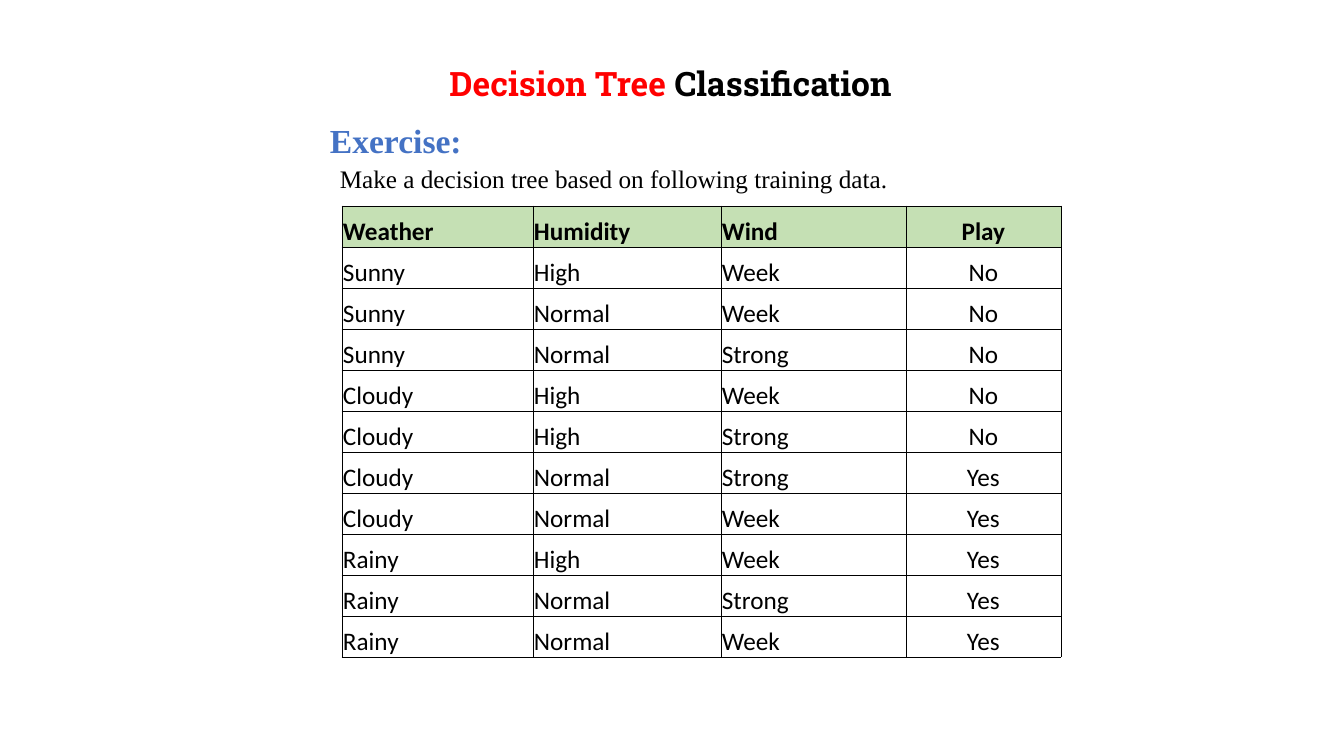
from dataclasses import dataclass

from lxml import etree
from pptx import Presentation
from pptx import util as u
from pptx.dml.color import RGBColor
from pptx.enum import text
from pptx.oxml import ns

PX_PER_INCH = 100.8
BLACK = "000000"
RED = "FF0000"
BLUE = "4472C4"
HEADER_GREEN = "C5E0B4"
COLUMN_WIDTHS = (191, 188, 185, 155)
ROW_HEIGHT = 41
TRAINING_DATA = (
    ("Weather", "Humidity", "Wind", "Play"),
    ("Sunny", "High", "Week", "No"),
    ("Sunny", "Normal", "Week", "No"),
    ("Sunny", "Normal", "Strong", "No"),
    ("Cloudy", "High", "Week", "No"),
    ("Cloudy", "High", "Strong", "No"),
    ("Cloudy", "Normal", "Strong", "Yes"),
    ("Cloudy", "Normal", "Week", "Yes"),
    ("Rainy", "High", "Week", "Yes"),
    ("Rainy", "Normal", "Strong", "Yes"),
    ("Rainy", "Normal", "Week", "Yes"),
)


@dataclass(frozen=True)
class Label:
    box: tuple[int, int, int, int]
    runs: tuple[tuple[str, str], ...]
    font: str
    size: int
    bold: bool
    spacing: float
    alignment: text.PP_ALIGN = text.PP_ALIGN.LEFT


LABELS = (
    Label((342, 52, 657, 53), (("Decision Tree ", RED), ("Classification", BLACK)),
          "Roboto Slab", 24, True, 1.15, text.PP_ALIGN.CENTER),
    Label((320, 113, 168, 50), (("Exercise:", BLUE),),
          "Times New Roman", 24, True, 1.06),
    Label((330, 157, 574, 42),
          (("Make a decision tree based on following training data.", BLACK),),
          "Times New Roman", 18, False, 1.06),
)


def px(length: int) -> u.Emu:
    return u.Emu(round(length * 914400 / PX_PER_INCH))


def color(value: str) -> RGBColor:
    return RGBColor.from_string(value)


def style_font(paragraph, name: str, size: int, bold: bool) -> None:
    paragraph.font.name = name
    paragraph.font.size = u.Pt(size)
    paragraph.font.bold = bold


def draw_label(slide, label: Label) -> None:
    frame = slide.shapes.add_textbox(*map(px, label.box)).text_frame
    frame.word_wrap = True
    frame.auto_size = text.MSO_AUTO_SIZE.SHAPE_TO_FIT_TEXT
    paragraph = frame.paragraphs[0]
    paragraph.alignment = label.alignment
    paragraph.line_spacing = label.spacing
    style_font(paragraph, label.font, label.size, label.bold)
    for words, run_color in label.runs:
        run = paragraph.add_run()
        run.text = words
        run.font.color.rgb = color(run_color)


def draw_borders(cell) -> None:
    properties = cell._tc.get_or_add_tcPr()
    for side in ("a:lnL", "a:lnR", "a:lnT", "a:lnB"):
        line = etree.SubElement(properties, ns.qn(side), w=str(u.Pt(0.5)))
        fill = etree.SubElement(line, ns.qn("a:solidFill"))
        etree.SubElement(fill, ns.qn("a:srgbClr"), val=BLACK)


def draw_cell(cell, words: str, header: bool, centered: bool) -> None:
    cell.text = words
    cell.vertical_anchor = text.MSO_ANCHOR.BOTTOM
    cell.margin_left = cell.margin_right = cell.margin_top = px(1)
    cell.margin_bottom = 0
    draw_borders(cell)
    if header:
        cell.fill.solid()
        cell.fill.fore_color.rgb = color(HEADER_GREEN)
    else:
        cell.fill.background()
    paragraph = cell.text_frame.paragraphs[0]
    paragraph.alignment = text.PP_ALIGN.CENTER if centered else text.PP_ALIGN.LEFT
    style_font(paragraph, "Calibri", 18, header)
    paragraph.font.color.rgb = color(BLACK)


def draw_training_table(slide) -> None:
    row_count, column_count = len(TRAINING_DATA), len(COLUMN_WIDTHS)
    table = slide.shapes.add_table(
        row_count, column_count, px(342), px(206),
        px(sum(COLUMN_WIDTHS)), px(ROW_HEIGHT * row_count)).table
    table.horz_banding = False
    table.first_row = False
    for column, width in zip(table.columns, COLUMN_WIDTHS):
        column.width = px(width)
    for row_index, values in enumerate(TRAINING_DATA):
        table.rows[row_index].height = px(ROW_HEIGHT)
        for column_index, words in enumerate(values):
            draw_cell(table.cell(row_index, column_index), words,
                      header=row_index == 0,
                      centered=column_index == column_count - 1)


def main() -> None:
    presentation = Presentation()
    presentation.slide_width = px(1344)
    presentation.slide_height = px(756)
    slide = presentation.slides.add_slide(presentation.slide_layouts[6])
    draw_training_table(slide)
    for label in LABELS:
        draw_label(slide, label)
    presentation.save("out.pptx")


if __name__ == "__main__":
    main()
